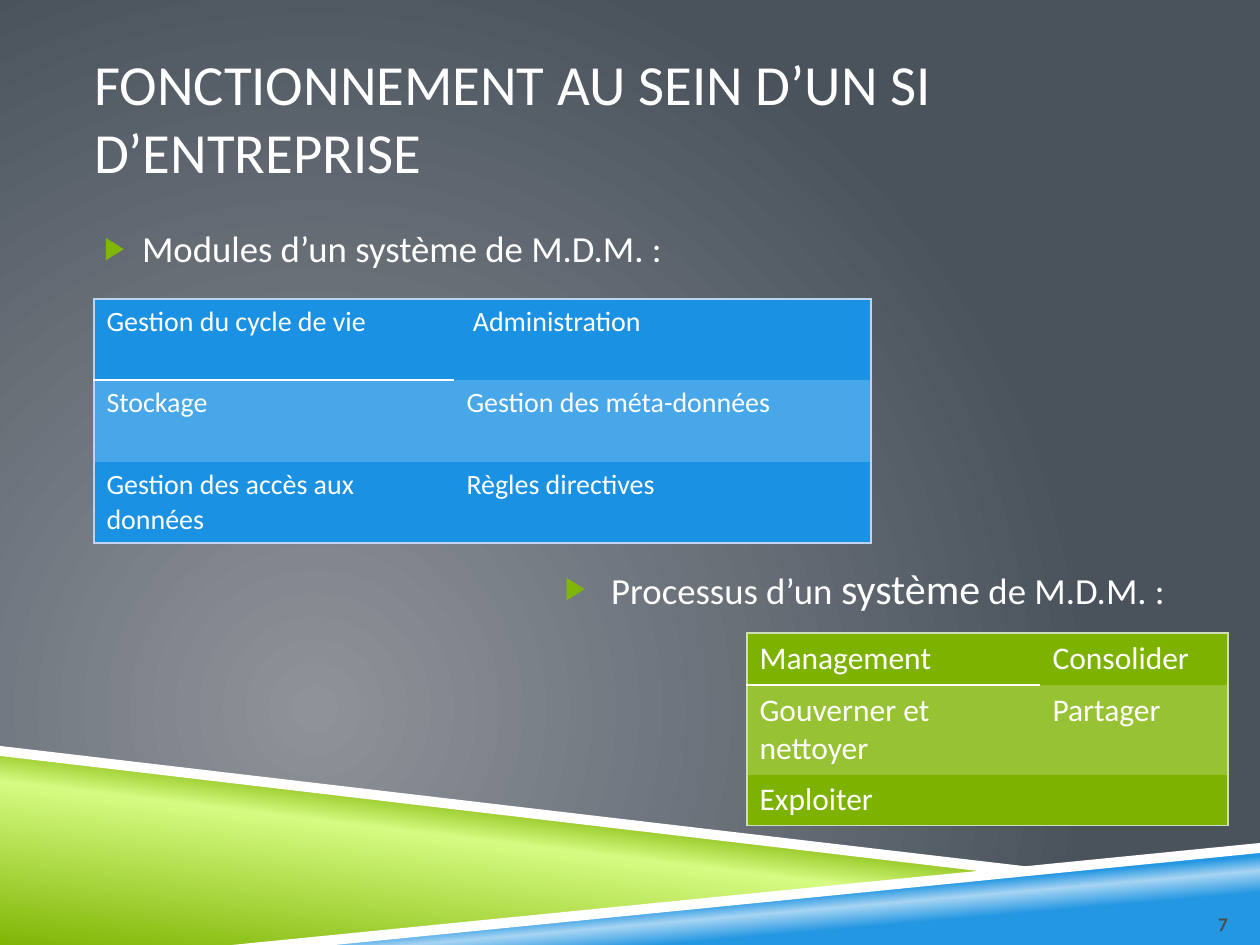
"""Build the slide on the modules and processes of an M.D.M. system."""
from lxml.etree import SubElement
from pptx import Presentation
from pptx.dml.color import RGBColor as RGB
from pptx.enum.text import MSO_ANCHOR as ANCHOR, MSO_AUTO_SIZE as AUTO, PP_ALIGN as ALIGN
from pptx.oxml.ns import qn
from pptx.util import Pt

PX = 914400 / 126
FONT = "Calibri"
NO_GRID = "{2D5ABB26-0587-4C30-8999-92F81FD0307C}"

WHITE = RGB(0xFF, 0xFF, 0xFF)
GREY = RGB(0x4D, 0x4D, 0x4D)
SLATE_LIGHT = RGB(0x8E, 0x93, 0x9A)
SLATE_DARK = RGB(0x4A, 0x52, 0x5C)
GREEN = RGB(0x80, 0xB6, 0x06)
GREEN_LIGHT = RGB(0xD6, 0xFB, 0x82)
BLUE = RGB(0x23, 0x97, 0xE2)
BLUE_LIGHT = RGB(0xA7, 0xD5, 0xF3)
BLUE_ROWS = RGB(0x1A, 0x91, 0xE2), RGB(0x48, 0xA7, 0xE8)
GREEN_ROWS = RGB(0x7D, 0xB3, 0x00), RGB(0x97, 0xC2, 0x33)
BLUE_EDGE = RGB(0xBD, 0xD3, 0xF1)
GREEN_EDGE = RGB(0xCD, 0xDE, 0xBD)

TITLE = "FONCTIONNEMENT AU SEIN D’UN SI D’ENTREPRISE"
PAGE = "7"
HEADINGS = [
    {"runs": [("Modules d’un système de M.D.M. :", None)], "align": ALIGN.LEFT, "before": 0},
    {"runs": [(" Processus d’un ", None), ("système", 24), (" de M.D.M. :", None)],
     "align": ALIGN.RIGHT, "before": 167},
]
TABLES = [
    {"rows": [("Gestion du cycle de vie", " Administration"),
              ("Stockage", "Gestion des méta-données"),
              ("Gestion des accès aux données", "Règles directives")],
     "at": (94, 299), "widths": (360, 417), "heights": (81, 82, 81),
     "size": 16, "fills": BLUE_ROWS, "edge": BLUE_EDGE},
    {"rows": [("Management", "Consolider"),
              ("Gouverner et nettoyer", "Partager"),
              ("Exploiter", "")],
     "at": (747, 633), "widths": (293, 188), "heights": (52, 89, 51),
     "size": 18, "fills": GREEN_ROWS, "edge": GREEN_EDGE},
]
BANDS = [
    ([(0, 752), (998, 872), (252, 945), (0, 945)],
     [(0, GREEN), (52, GREEN_LIGHT), (66, GREEN)], 277),
    ([(249, 945), (1260, 847), (1260, 945)],
     [(28, BLUE), (40, BLUE_LIGHT), (48, BLUE)], 265),
    ([(0, 746), (0, 756), (995, 873), (1048, 869)], None, None),
    ([(1260, 843), (232, 945), (335, 945), (1260, 853)], None, None),
]


def px(length):
    return round(length * PX)


def place(shape, left, top, width, height):
    shape.left, shape.top, shape.width, shape.height = map(px, (left, top, width, height))


def add_color(parent, color):
    SubElement(parent, qn("a:srgbClr"), val=str(color))


def set_gradient(fill_parent, stops):
    gradient = fill_parent.find(qn("a:gradFill"))
    for child in list(gradient):
        gradient.remove(child)
    stop_list = SubElement(gradient, qn("a:gsLst"))
    for position, color in stops:
        add_color(SubElement(stop_list, qn("a:gs"), pos=str(position * 1000)), color)
    return gradient


def set_font(font, size, color=WHITE, bold=False):
    font.name, font.size, font.bold = FONT, Pt(size), bold
    font.color.rgb = color


def set_frame(frame, anchor, bottom=6):
    frame.word_wrap, frame.auto_size = True, AUTO.NONE
    frame.vertical_anchor = anchor
    frame.margin_left = frame.margin_right = 0
    frame.margin_top, frame.margin_bottom = px(6), px(bottom)


def add_background(slide):
    slide.background.fill.gradient()
    fill_parent = slide._element.cSld.find(qn("p:bg")).find(qn("p:bgPr"))
    gradient = set_gradient(fill_parent, [(0, SLATE_LIGHT), (100, SLATE_DARK)])
    circle = SubElement(gradient, qn("a:path"), path="circle")
    SubElement(circle, qn("a:fillToRect"), l="50000", t="100000", r="100000", b="50000")


def add_band(slide, depth, points, stops, angle):
    builder = slide.shapes.build_freeform(*points[0], scale=PX)
    builder.add_line_segments(points[1:], close=True)
    band = builder.convert_to_shape()
    band.shadow.inherit = False
    band.line.fill.background()
    if stops:
        band.fill.gradient()
        gradient = set_gradient(band._element.spPr, stops)
        SubElement(gradient, qn("a:lin"), ang=str(angle * 60000), scaled="0")
    else:
        band.fill.solid()
        band.fill.fore_color.rgb = WHITE
    slide.shapes._spTree.insert(depth, band._element)


def add_heading(paragraph, runs, align, before):
    paragraph.alignment = align
    paragraph.space_before = Pt(before)
    props = paragraph._p.get_or_add_pPr()
    props.set("marL", str(px(48)))
    props.set("indent", str(px(-38)))
    add_color(SubElement(props, qn("a:buClr")), GREEN)
    SubElement(props, qn("a:buSzPct"), val="85000")
    SubElement(props, qn("a:buChar"), char="▶")
    set_font(paragraph.font, 21)
    for words, size in runs:
        run = paragraph.add_run()
        run.text = words
        if size:
            run.font.size = Pt(size)


def add_border(cell, side, color, points):
    line = SubElement(cell._tc.get_or_add_tcPr(), qn("a:ln" + side), w=str(Pt(points)))
    add_color(SubElement(line, qn("a:solidFill")), color)


def add_grid(slide, rows, at, widths, heights, size, fills, edge):
    sizes = sum(widths), sum(heights)
    grid = slide.shapes.add_table(len(rows), len(widths), *map(px, at + sizes)).table
    grid.first_row = grid.horz_banding = False
    grid._tbl.tblPr.find(qn("a:tableStyleId")).text = NO_GRID
    for column, width in zip(grid.columns, widths):
        column.width = px(width)
    last_row, last_column = len(rows) - 1, len(widths) - 1
    for r, (row, height) in enumerate(zip(rows, heights)):
        grid.rows[r].height = px(height)
        for c, words in enumerate(row):
            cell = grid.cell(r, c)
            cell.text = words
            set_font(cell.text_frame.paragraphs[0].font, size)
            outer = {"L": c == 0, "R": c == last_column, "T": r == 0, "B": r == last_row}
            for side, on_edge in outer.items():
                if on_edge:
                    add_border(cell, side, edge, 0.75)
                elif side == "B" and r == c == 0:
                    add_border(cell, side, WHITE, 1.25)
            cell.fill.solid()
            cell.fill.fore_color.rgb = fills[r % 2]


def main():
    deck = Presentation()
    deck.slide_width, deck.slide_height = px(1260), px(945)
    slide = deck.slides.add_slide(deck.slide_layouts[1])
    add_background(slide)
    for depth, band in enumerate(BANDS, start=2):
        add_band(slide, depth, *band)

    title, body = slide.placeholders
    place(title, 94, 38, 1071, 157)
    set_frame(title.text_frame, ANCHOR.MIDDLE)
    title.text_frame.text = TITLE
    heading = title.text_frame.paragraphs[0]
    heading.alignment = ALIGN.LEFT
    set_font(heading.font, 32.4)

    place(body, 94, 220, 1071, 529)
    set_frame(body.text_frame, ANCHOR.TOP)
    for i, item in enumerate(HEADINGS):
        frame = body.text_frame
        add_heading(frame.add_paragraph() if i else frame.paragraphs[0], **item)

    page = slide.shapes.add_textbox(*map(px, (1165, 885, 63, 50)))
    set_frame(page.text_frame, ANCHOR.BOTTOM, bottom=0)
    page.text_frame.text = PAGE
    number = page.text_frame.paragraphs[0]
    number.alignment = ALIGN.RIGHT
    set_font(number.font, 11, GREY, bold=True)

    for table in TABLES:
        add_grid(slide, **table)
    deck.save("out.pptx")


if __name__ == "__main__":
    main()
